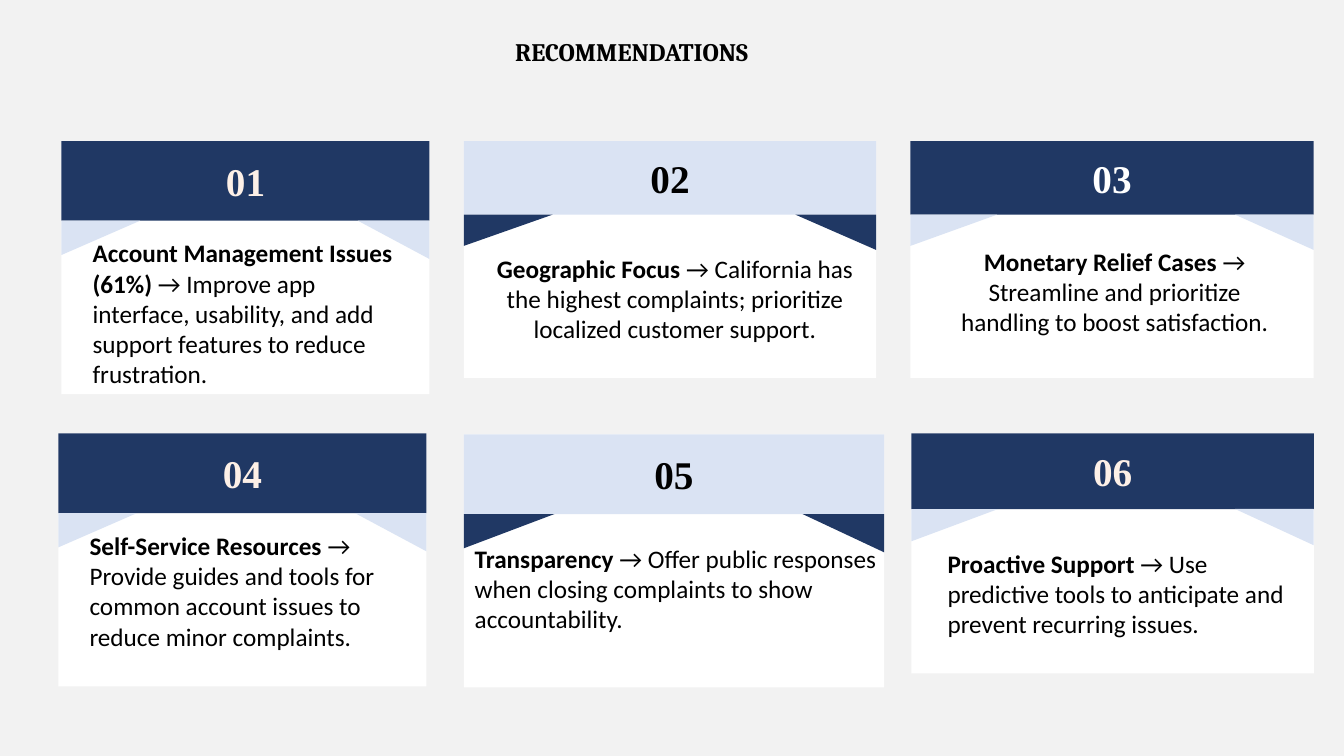
from dataclasses import dataclass
from typing import NamedTuple

from pptx import Presentation
from pptx.dml.color import RGBColor
from pptx.enum.shapes import MSO_SHAPE
from pptx.enum.text import MSO_ANCHOR, MSO_AUTO_SIZE, PP_ALIGN
from pptx.shapes.autoshape import Shape
from pptx.slide import Slide
from pptx.text.text import TextFrame
from pptx.util import Emu, Pt

EMU_PER_PX = 9144


class Box(NamedTuple):
    left: int
    top: int
    width: int
    height: int

    def emu(self) -> tuple[Emu, ...]:
        return tuple(Emu(length * EMU_PER_PX) for length in self)


@dataclass(frozen=True)
class Theme:
    backdrop: str = "F2F2F2"
    panel: str = "FFFFFF"
    navy: str = "203864"
    pale: str = "DAE3F3"
    cream: str = "FDF0E7"
    white: str = "FFFFFF"
    ink: str = "000000"
    title_font: str = "Cambria"
    number_font: str = "Times New Roman"
    advice_font: str = "Calibri"
    title_size: int = 18
    number_size: int = 28
    advice_size: int = 18


THEME = Theme()


@dataclass(frozen=True)
class Scheme:
    header: str
    wing: str
    number: str


NAVY = Scheme(THEME.navy, THEME.pale, THEME.cream)
NAVY_WHITE = Scheme(THEME.navy, THEME.pale, THEME.white)
PALE = Scheme(THEME.pale, THEME.navy, THEME.ink)


@dataclass(frozen=True)
class Recommendation:
    panel: Box
    header_height: int
    scheme: Scheme
    advice_box: Box
    topic: str
    advice: str
    align: PP_ALIGN = PP_ALIGN.LEFT


RECOMMENDATIONS = [
    Recommendation(
        Box(61, 140, 365, 251), 79, NAVY, Box(82, 231, 333, 162),
        "Account Management Issues (61%)",
        "Improve app interface, usability, and add support features to reduce frustration."),
    Recommendation(
        Box(460, 140, 409, 235), 73, PALE, Box(483, 246, 373, 94),
        "Geographic Focus",
        "California has the highest complaints; prioritize localized customer support.",
        PP_ALIGN.CENTER),
    Recommendation(
        Box(903, 140, 400, 235), 73, NAVY_WHITE, Box(936, 239, 339, 101),
        "Monetary Relief Cases",
        "Streamline and prioritize handling to boost satisfaction.",
        PP_ALIGN.CENTER),
    Recommendation(
        Box(58, 430, 365, 251), 79, NAVY, Box(79, 521, 333, 131),
        "Self-Service Resources",
        "Provide guides and tools for common account issues to reduce minor complaints."),
    Recommendation(
        Box(460, 431, 417, 251), 79, PALE, Box(461, 534, 428, 101),
        "Transparency",
        "Offer public responses when closing complaints to show accountability."),
    Recommendation(
        Box(904, 430, 399, 238), 75, NAVY, Box(930, 539, 364, 96),
        "Proactive Support",
        "Use predictive tools to anticipate and prevent recurring issues."),
]


def add_run(frame: TextFrame, text: str, font: str, size: int, color: str,
            bold: bool, align: PP_ALIGN) -> None:
    paragraph = frame.paragraphs[0]
    paragraph.alignment = align
    run = paragraph.add_run()
    run.text = text
    run.font.name = font
    run.font.size = Pt(size)
    run.font.bold = bold
    run.font.color.rgb = RGBColor.from_string(color)


def add_filled(slide: Slide, preset: MSO_SHAPE, box: Box, color: str) -> Shape:
    shape = slide.shapes.add_shape(preset, *box.emu())
    shape.shadow.inherit = False
    shape.fill.solid()
    shape.fill.fore_color.rgb = RGBColor.from_string(color)
    shape.line.fill.background()
    return shape


def add_wings(slide: Slide, header: Box, color: str) -> None:
    top = header.top + header.height
    left_wing = Box(header.left, top, round(header.width * 0.215), round(header.height * 0.43))
    right_width = round(header.width * 0.195)
    right_wing = Box(header.left + header.width - right_width, top,
                     right_width, round(header.height * 0.48))
    for wing_box, flips in ((left_wing, ["flipV"]), (right_wing, ["flipV", "flipH"])):
        wing = add_filled(slide, MSO_SHAPE.RIGHT_TRIANGLE, wing_box, color)
        for flip in flips:
            wing._element.spPr.xfrm.set(flip, "1")


def add_recommendation(slide: Slide, number: int, item: Recommendation) -> None:
    add_filled(slide, MSO_SHAPE.RECTANGLE, item.panel, THEME.panel)
    header_box = item.panel._replace(height=item.header_height)
    header = add_filled(slide, MSO_SHAPE.RECTANGLE, header_box, item.scheme.header)
    header.text_frame.vertical_anchor = MSO_ANCHOR.MIDDLE
    add_run(header.text_frame, f"{number:02}", THEME.number_font, THEME.number_size,
            item.scheme.number, True, PP_ALIGN.CENTER)
    add_wings(slide, header_box, item.scheme.wing)

    advice = slide.shapes.add_textbox(*item.advice_box.emu()).text_frame
    advice.word_wrap = True
    advice.auto_size = MSO_AUTO_SIZE.SHAPE_TO_FIT_TEXT
    for text, bold in ((item.topic, True), (f" → {item.advice}", False)):
        add_run(advice, text, THEME.advice_font, THEME.advice_size, THEME.ink, bold, item.align)


def add_title(slide: Slide) -> None:
    title = slide.shapes.title
    title.left, title.top, title.width, title.height = Box(384, 31, 485, 40).emu()
    title.text_frame.word_wrap = True
    title.text_frame.auto_size = MSO_AUTO_SIZE.NONE
    title.text_frame.vertical_anchor = MSO_ANCHOR.TOP
    add_run(title.text_frame, "RECOMMENDATIONS", THEME.title_font, THEME.title_size,
            THEME.ink, True, PP_ALIGN.CENTER)


def main() -> None:
    deck = Presentation()
    deck.slide_width = Emu(1333 * EMU_PER_PX)
    deck.slide_height = Emu(750 * EMU_PER_PX)
    slide = deck.slides.add_slide(deck.slide_layouts.get_by_name("Title Only"))
    slide.background.fill.solid()
    slide.background.fill.fore_color.rgb = RGBColor.from_string(THEME.backdrop)
    add_title(slide)
    for number, item in enumerate(RECOMMENDATIONS, start=1):
        add_recommendation(slide, number, item)
    deck.save("out.pptx")


if __name__ == "__main__":
    main()
